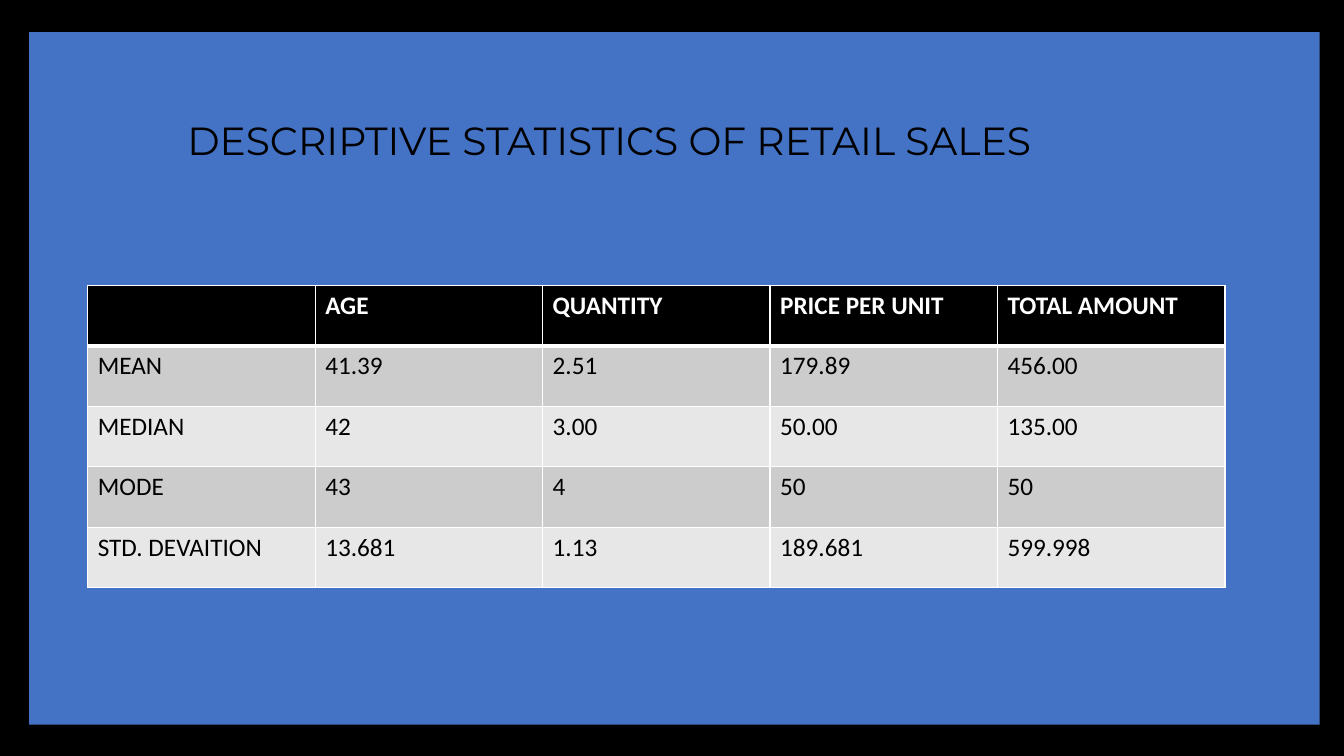
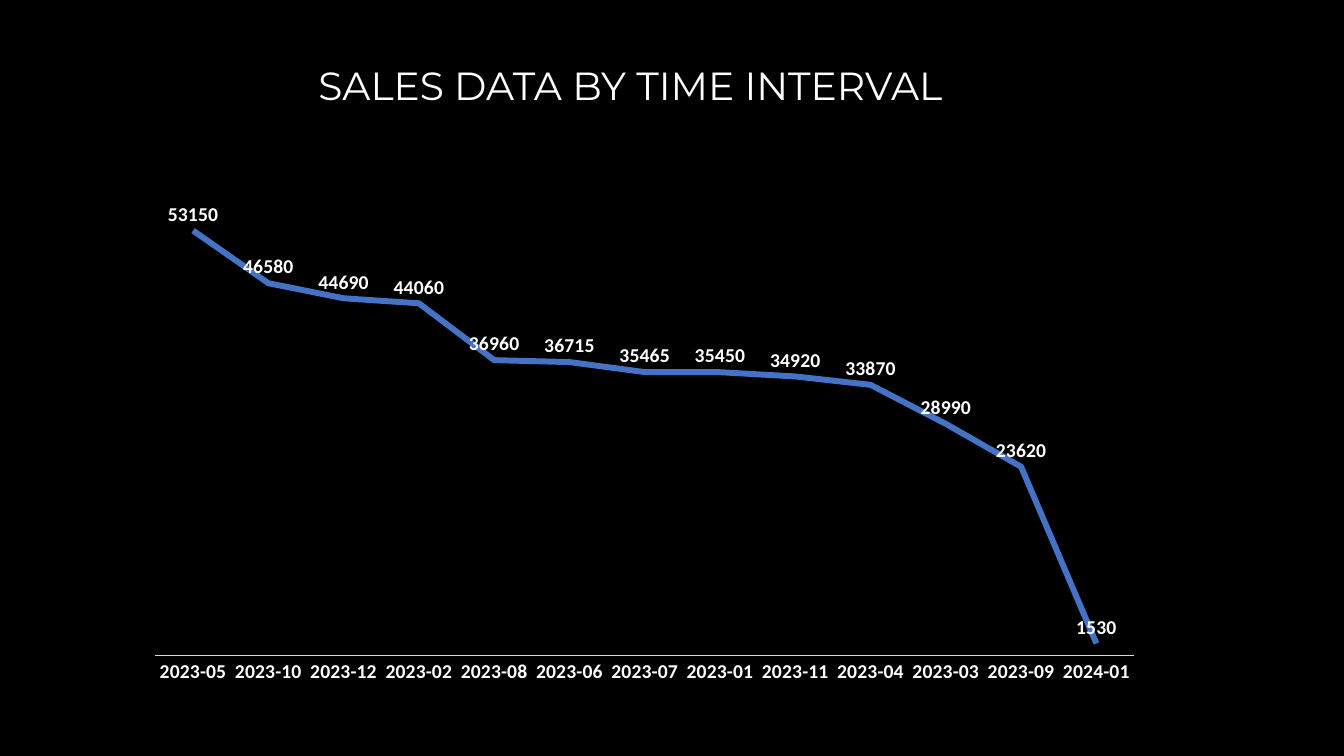
import dataclasses
import typing

import lxml.etree
import pptx
import pptx.chart.data
import pptx.dml.color
import pptx.enum.chart
import pptx.enum.shapes
import pptx.enum.text
import pptx.oxml.ns
import pptx.util

Inches = pptx.util.Inches
Pt = pptx.util.Pt
RGBColor = pptx.dml.color.RGBColor

BLACK = RGBColor(0x00, 0x00, 0x00)
WHITE = RGBColor(0xFF, 0xFF, 0xFF)
BLUE = RGBColor(0x44, 0x72, 0xC4)
AXIS_GRAY = RGBColor(0xD9, 0xD9, 0xD9)
HEADER_FILL = BLACK
BAND_FILLS = (RGBColor(0xCC, 0xCC, 0xCC), RGBColor(0xE7, 0xE7, 0xE7))

TITLE_FORMAT = {"name": "Montserrat", "size": Pt(28)}
HEADER_FORMAT = {"name": "Calibri", "size": Pt(18), "bold": True}
BODY_FORMAT = {**HEADER_FORMAT, "bold": False}
CHART_FORMAT = {"name": "Calibri", "size": Pt(14), "bold": True}

STATISTICS = (
    ("", "AGE", "QUANTITY", "PRICE PER UNIT", "TOTAL AMOUNT"),
    ("MEAN", "41.39", "2.51", "179.89", "456.00"),
    ("MEDIAN", "42", "3.00", "50.00", "135.00"),
    ("MODE", "43", "4", "50", "50"),
    ("STD. DEVAITION", "13.681", "1.13", "189.681", "599.998"),
)

MONTHLY_SALES = {
    "2023-05": 53150,
    "2023-10": 46580,
    "2023-12": 44690,
    "2023-02": 44060,
    "2023-08": 36960,
    "2023-06": 36715,
    "2023-07": 35465,
    "2023-01": 35450,
    "2023-11": 34920,
    "2023-04": 33870,
    "2023-03": 28990,
    "2023-09": 23620,
    "2024-01": 1530,
}


@dataclasses.dataclass(frozen=True)
class Area:
    left: float
    top: float
    width: float
    height: float

    def lengths(self) -> tuple:
        return tuple(Inches(value) for value in dataclasses.astuple(self))


@dataclasses.dataclass(frozen=True)
class Title:
    text: str
    area: Area
    color: RGBColor


STATISTICS_TITLE = Title(
    "DESCRIPTIVE STATISTICS OF RETAIL SALES", Area(1.76, 1.1, 9.81, 0.57), BLACK
)
SALES_TITLE = Title("SALES DATA BY TIME INTERVAL", Area(3.06, 0.56, 7.3, 0.57), WHITE)


def apply_format(target: typing.Any, values: dict) -> None:
    for name, value in values.items():
        setattr(target, name, value)


def style_font(font: typing.Any, values: dict, color: RGBColor) -> None:
    apply_format(font, values)
    font.color.rgb = color


def add_title(slide: typing.Any, title: Title) -> None:
    frame = slide.shapes.add_textbox(*title.area.lengths()).text_frame
    apply_format(
        frame,
        {"word_wrap": False, "auto_size": pptx.enum.text.MSO_AUTO_SIZE.SHAPE_TO_FIT_TEXT},
    )
    run = frame.paragraphs[0].add_run()
    run.text = title.text
    style_font(run.font, TITLE_FORMAT, title.color)


def add_panel(slide: typing.Any, area: Area) -> None:
    panel = slide.shapes.add_shape(
        pptx.enum.shapes.MSO_SHAPE.RECTANGLE, *area.lengths()
    )
    panel.shadow.inherit = False
    panel.fill.solid()
    panel.fill.fore_color.rgb = BLUE
    panel.line.fill.background()


def set_borders(cell: typing.Any, widths: dict) -> None:
    qn = pptx.oxml.ns.qn
    properties = cell._tc.get_or_add_tcPr()
    for side, width in widths.items():
        border = lxml.etree.SubElement(properties, qn(f"a:ln{side}"), w=str(Pt(width)))
        fill = lxml.etree.SubElement(border, qn("a:solidFill"))
        lxml.etree.SubElement(fill, qn("a:srgbClr"), val=str(WHITE))


def add_statistics_table(slide: typing.Any, area: Area) -> None:
    table = slide.shapes.add_table(
        len(STATISTICS), len(STATISTICS[0]), *area.lengths()
    ).table
    for row_index, values in enumerate(STATISTICS):
        is_header = row_index == 0
        fill = HEADER_FILL if is_header else BAND_FILLS[(row_index - 1) % 2]
        font_format = HEADER_FORMAT if is_header else BODY_FORMAT
        borders = {
            "L": 1,
            "R": 1,
            "T": 3 if row_index == 1 else 1,
            "B": 3 if is_header else 1,
        }
        for column_index, text in enumerate(values):
            cell = table.cell(row_index, column_index)
            set_borders(cell, borders)
            cell.fill.solid()
            cell.fill.fore_color.rgb = fill
            cell.text = text
            style_font(
                cell.text_frame.paragraphs[0].font,
                font_format,
                WHITE if is_header else BLACK,
            )


def add_sales_chart(slide: typing.Any, area: Area) -> None:
    sales = pptx.chart.data.CategoryChartData()
    sales.categories = list(MONTHLY_SALES)
    sales.add_series("Series 1", list(MONTHLY_SALES.values()))
    chart = slide.shapes.add_chart(
        pptx.enum.chart.XL_CHART_TYPE.LINE, *area.lengths(), sales
    ).chart
    apply_format(chart, {"has_legend": False, "has_title": False})
    style_font(chart.font, {"name": "Calibri", "size": Pt(10)}, BLACK)

    no_tick = pptx.enum.chart.XL_TICK_MARK.NONE
    months = chart.category_axis
    apply_format(
        months,
        {"major_tick_mark": no_tick, "minor_tick_mark": no_tick, "has_major_gridlines": False},
    )
    style_font(months.tick_labels.font, CHART_FORMAT, WHITE)
    months.format.line.color.rgb = AXIS_GRAY
    months.format.line.width = Pt(0.75)
    apply_format(
        chart.value_axis,
        {
            "visible": False,
            "has_major_gridlines": False,
            "minimum_scale": 0,
            "maximum_scale": 60000,
        },
    )

    plot = chart.plots[0]
    plot.vary_by_categories = False
    sales_line = plot.series[0]
    sales_line.smooth = False
    sales_line.marker.style = pptx.enum.chart.XL_MARKER_STYLE.NONE
    sales_line.format.line.color.rgb = BLUE
    sales_line.format.line.width = Pt(4.25)
    labels = sales_line.data_labels
    apply_format(
        labels,
        {"show_value": True, "position": pptx.enum.chart.XL_LABEL_POSITION.ABOVE},
    )
    style_font(labels.font, CHART_FORMAT, WHITE)


def main() -> None:
    deck = pptx.Presentation()
    apply_format(deck, {"slide_width": Inches(13.33), "slide_height": Inches(7.5)})
    backdrop = deck.slide_master.background.fill
    backdrop.solid()
    backdrop.fore_color.rgb = BLACK
    blank = deck.slide_layouts[6]

    statistics_slide = deck.slides.add_slide(blank)
    add_panel(statistics_slide, Area(0.29, 0.32, 12.8, 6.87))
    add_statistics_table(statistics_slide, Area(0.87, 2.83, 11.28, 3))
    add_title(statistics_slide, STATISTICS_TITLE)

    sales_slide = deck.slides.add_slide(blank)
    add_sales_chart(sales_slide, Area(1.34, 1.64, 10.11, 5.25))
    add_title(sales_slide, SALES_TITLE)

    deck.save("out.pptx")


if __name__ == "__main__":
    main()
